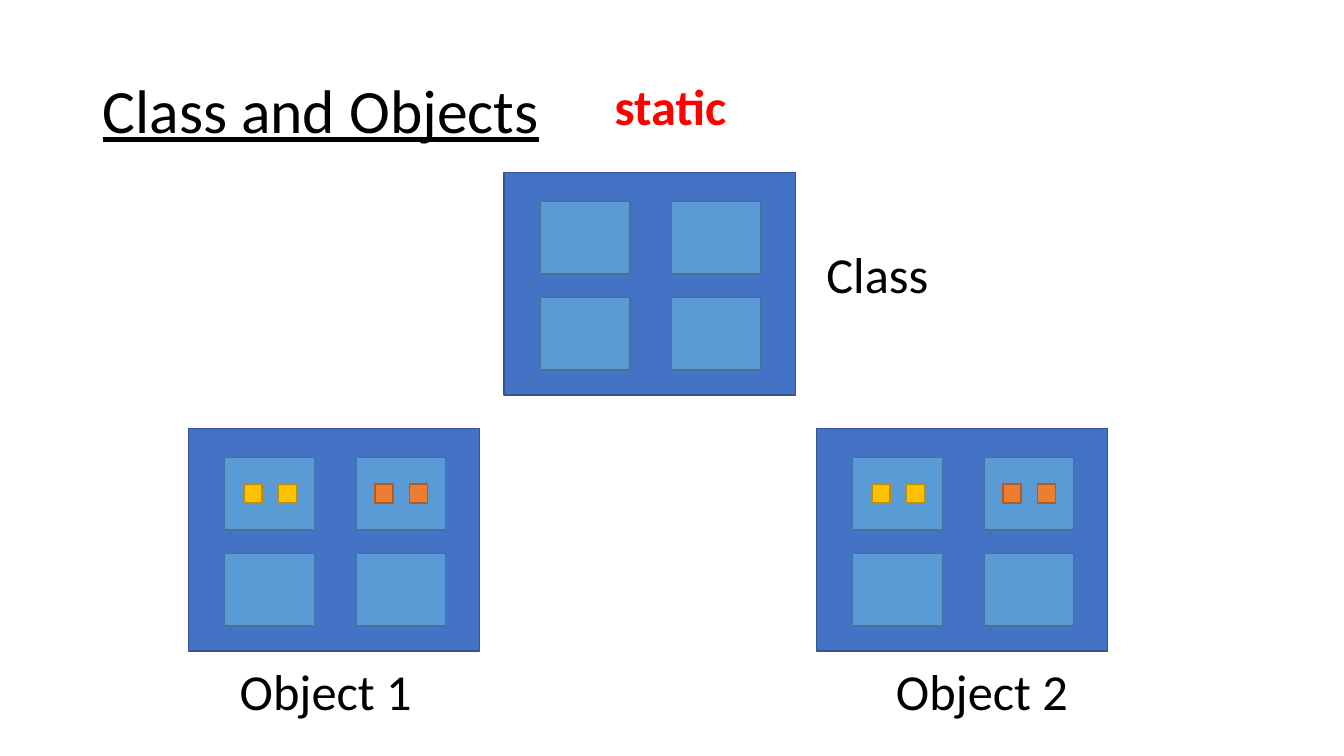
from dataclasses import dataclass
from itertools import product

from pptx import Presentation
from pptx.dml.color import RGBColor
from pptx.enum.shapes import MSO_SHAPE
from pptx.enum.text import MSO_ANCHOR, MSO_AUTO_SIZE
from pptx.shapes.group import GroupShape
from pptx.slide import Slide
from pptx.util import Inches, Pt

RECTANGLE = MSO_SHAPE.RECTANGLE
MIDDLE, TOP = MSO_ANCHOR.MIDDLE, MSO_ANCHOR.TOP
FIT_SHAPE, NO_FIT = MSO_AUTO_SIZE.SHAPE_TO_FIT_TEXT, MSO_AUTO_SIZE.NONE

UNIT = Inches(0.1)  # one grid column or row
SLIDE_COLUMNS, SLIDE_ROWS = 133.33, 75


@dataclass(frozen=True)
class Paint:
    fill: str
    line: str


@dataclass(frozen=True)
class Theme:
    font: str = "Calibri"
    title_size: int = 44
    label_size: int = 36
    line_width: int = 1
    text: str = "000000"
    accent: str = "FF0000"
    panel: Paint = Paint("4472C4", "325491")
    cell: Paint = Paint("5B9BD5", "43739E")
    gold: Paint = Paint("FFC000", "BD8E00")
    orange: Paint = Paint("ED7D31", "AF5C24")


THEME = Theme()


@dataclass(frozen=True)
class Area:
    """Position and size in grid columns and rows."""
    column: float
    row: float
    columns: float
    rows: float

    def inner(self, column: float, row: float, columns: float, rows: float) -> "Area":
        """Area of the given size, offset from this one's corner."""
        return Area(self.column + column, self.row + row, columns, rows)

    def emu(self) -> tuple[int, ...]:
        return tuple(round(length * UNIT) for length in
                     (self.column, self.row, self.columns, self.rows))


@dataclass(frozen=True)
class Panel:
    column: float
    row: float
    dots: tuple[Paint, ...] = ()  # one pair of dots per top cell


@dataclass(frozen=True)
class Label:
    text: str
    area: Area
    size: int = THEME.label_size
    color: str = THEME.text
    bold: bool = False
    title: bool = False


PANELS = (
    Panel(50, 17.1),
    Panel(81, 42.5, (THEME.gold, THEME.orange)),
    Panel(18.7, 42.5, (THEME.gold, THEME.orange)),
)
LABELS = (
    Label("Class and Objects", Area(9.2, 4, 115, 14.5), THEME.title_size, title=True),
    Label("Class", Area(81, 23.6, 12.3, 7.1)),
    Label("Object 1", Area(22.8, 65, 19.3, 7.1)),
    Label("Object 2", Area(87.9, 65, 19.3, 7.1)),
    Label("static", Area(60, 7, 13.2, 7.1), color=THEME.accent, bold=True),
)


def add_rectangle(group: GroupShape, area: Area, paint: Paint) -> None:
    shape = group.shapes.add_shape(RECTANGLE, *area.emu())
    shape.shadow.inherit = False
    shape.fill.solid()
    shape.fill.fore_color.rgb = RGBColor.from_string(paint.fill)
    shape.line.color.rgb = RGBColor.from_string(paint.line)
    shape.line.width = Pt(THEME.line_width)


def add_panel(slide: Slide, panel: Panel) -> None:
    """Draw a panel with two by two cells and its pairs of dots."""
    frame = Area(panel.column, panel.row, 28.9, 22.1)
    cells = [frame.inner(3.6 + 13 * column, 2.9 + 9.5 * row, 8.9, 7.2)
             for row, column in product(range(2), repeat=2)]
    group = slide.shapes.add_group_shape()
    add_rectangle(group, frame, THEME.panel)
    for cell in cells:
        add_rectangle(group, cell, THEME.cell)
    for cell, paint in zip(cells, panel.dots):
        pair = slide.shapes.add_group_shape()
        for index in range(2):
            add_rectangle(pair, cell.inner(1.9 + 3.4 * index, 2.6, 1.8, 1.9), paint)


def add_label(slide: Slide, label: Label) -> None:
    box = slide.shapes.add_textbox(*label.area.emu())
    frame = box.text_frame
    frame.word_wrap = label.title
    frame.auto_size = NO_FIT if label.title else FIT_SHAPE
    frame.vertical_anchor = MIDDLE if label.title else TOP
    frame.text = label.text
    para = frame.paragraphs[0]
    if label.title:
        para.line_spacing = 0.9
    font = para.runs[0].font
    font.name = THEME.font
    font.size = Pt(label.size)
    font.bold = label.bold
    font.underline = label.title
    font.color.rgb = RGBColor.from_string(label.color)


def main() -> None:
    deck = Presentation()
    deck.slide_width = round(SLIDE_COLUMNS * UNIT)
    deck.slide_height = SLIDE_ROWS * UNIT
    blank_layout = deck.slide_layouts[6]
    slide = deck.slides.add_slide(blank_layout)
    for panel in PANELS:
        add_panel(slide, panel)
    for label in LABELS:
        add_label(slide, label)
    deck.save("out.pptx")


if __name__ == "__main__":
    main()
